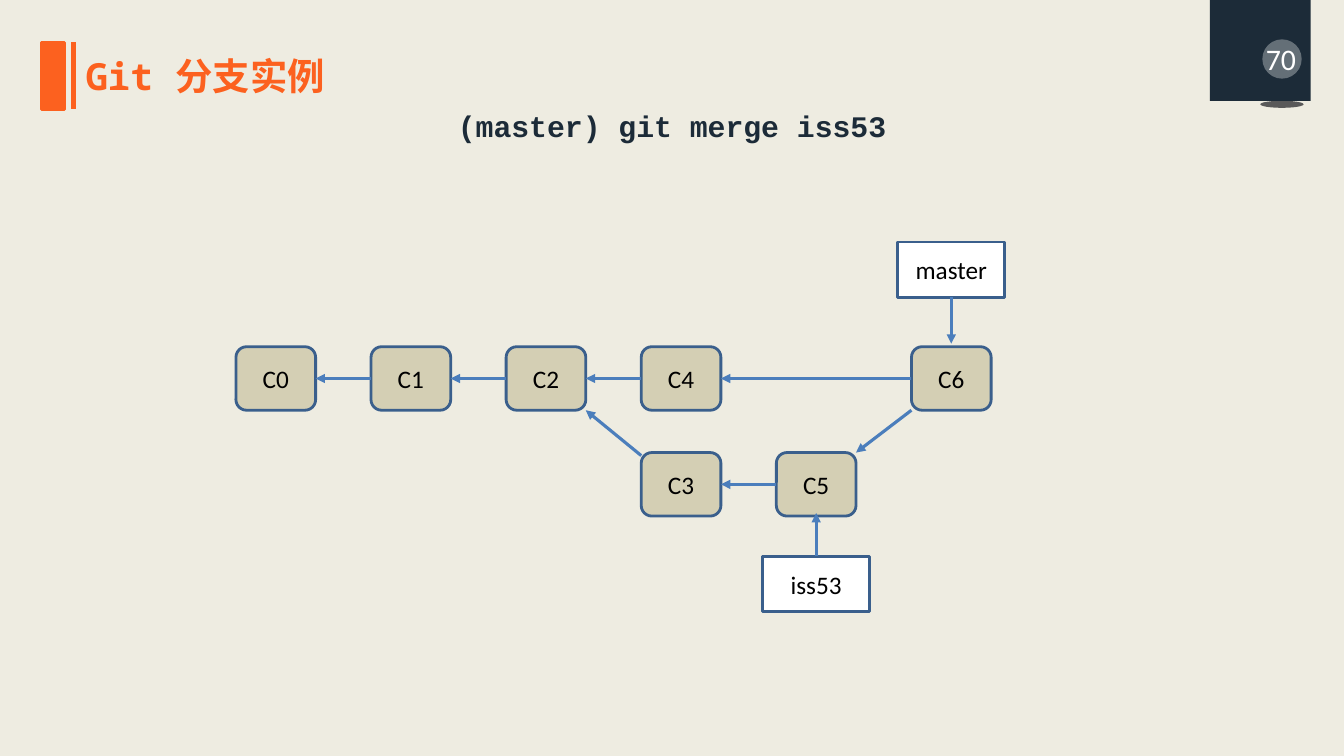
from math import cos, pi, sin

from lxml import etree
from pptx import Presentation
from pptx.dml.color import RGBColor
from pptx.enum import shapes, text
from pptx.oxml import ns
from pptx.util import Inches, Pt

TITLE = "Git 分支实例"
COMMAND = "(master) git merge iss53"
PAGE = "70"
# commit: (column, row)
COMMITS = {"C0": (0, 0), "C1": (1, 0), "C2": (2, 0), "C4": (3, 0),
           "C6": (5, 0), "C3": (3, 1), "C5": (4, 1)}
# branch: (commit, top of its label)
BRANCHES = {"master": ("C6", 2.4), "iss53": ("C5", 5.52)}
PARENTS = [("C1", "C0"), ("C2", "C1"), ("C4", "C2"), ("C3", "C2"),
           ("C5", "C3"), ("C6", "C4"), ("C6", "C5")]

LEFT, TOP, STEP, DROP = 2.34, 3.44, 1.34, 1.05
NODE_W, NODE_H = 0.79, 0.63
TAG_W, TAG_H = 1.06, 0.55
PIN_X, PIN_Y, PIN_R, PIN_TIP = 12.71, 0.57, 0.26, 1.04

CREAM = RGBColor(0xEE, 0xEC, 0xE1)
ORANGE = RGBColor(0xFC, 0x61, 0x1F)
NAVY = RGBColor(0x1C, 0x2B, 0x38)
GRAY = RGBColor(0x59, 0x59, 0x59)
TAN = RGBColor(0xD4, 0xCF, 0xB4)
EDGE = RGBColor(0x3A, 0x5F, 0x8C)
BLUE = RGBColor(0x4B, 0x7E, 0xBC)
WHITE = RGBColor(0xFF, 0xFF, 0xFF)
BLACK = RGBColor(0, 0, 0)

KIND = shapes.MSO_SHAPE
MIDDLE = text.MSO_ANCHOR.MIDDLE
CENTER = text.PP_ALIGN.CENTER

deck = Presentation()
deck.slide_width, deck.slide_height = Inches(13.33), Inches(7.5)
slide = deck.slides.add_slide(deck.slide_layouts[6])
slide.background.fill.solid()
slide.background.fill.fore_color.rgb = CREAM
tree = slide.shapes


def paint(shape, fill, line=None):
    shape.shadow.inherit = False
    shape.fill.solid()
    shape.fill.fore_color.rgb = fill
    if line is None:
        shape.line.fill.background()
    else:
        shape.line.color.rgb = line
        shape.line.width = Pt(2)


def add(kind, box, fill, line=None):
    shape = tree.add_shape(kind, *map(Inches, box))
    paint(shape, fill, line)
    return shape


def write(shape, words, size, font, color, bold=False, align=CENTER,
          anchor=MIDDLE):
    frame = shape.text_frame
    frame.word_wrap = True
    frame.vertical_anchor = anchor
    frame.text = words
    para = frame.paragraphs[0]
    para.alignment = align
    face = para.runs[0].font
    face.name, face.size, face.bold = font, Pt(size), bold
    face.color.rgb = color
    return para


def label(box, *args, **style):
    return write(tree.add_textbox(*map(Inches, box)), *args, **style)


def rule(start, end, color, width, arrow=False):
    line = tree.add_connector(shapes.MSO_CONNECTOR.STRAIGHT,
                              *map(Inches, start + end))
    line.line.color.rgb = color
    line.line.width = Pt(width)
    props = line._element.spPr
    if arrow:
        etree.SubElement(line.line._get_or_add_ln(), ns.qn("a:tailEnd"),
                         type="triangle")
    etree.SubElement(props, ns.qn("a:effectLst"))


def draw_pin():
    """Page marker: a round head narrowing to a tip above its shade."""
    add(KIND.OVAL, (12.5, 1, 0.43, 0.07), GRAY)
    head = [(PIN_X - PIN_R * cos(pi * i / 24), PIN_Y - PIN_R * sin(pi * i / 24))
            for i in range(25)]
    side = []
    for i in range(1, 13):
        t = i / 12
        side.append((PIN_R * ((1 - t) ** 2 + 1.8 * t * (1 - t)),
                     PIN_Y + (PIN_TIP - PIN_Y) * (t * (1 - t) + t * t)))
    points = head + [(PIN_X + x, y) for x, y in side]
    points += [(PIN_X - x, y) for x, y in side[-2::-1]]
    path = tree.build_freeform(*points[0], scale=Inches(1))
    path.add_line_segments(points[1:], close=True)
    paint(path.convert_to_shape(), NAVY)
    disc = add(KIND.OVAL, (12.52, 0.39, 0.39, 0.39), WHITE)
    tint = disc.fill._xPr.find(".//" + ns.qn("a:srgbClr"))
    etree.SubElement(tint, ns.qn("a:alpha"), val="32000")
    label((11.15, 0.38, 3.11, 0.4), PAGE, 21.3, "Calibri", WHITE)


def place(name):
    col, row = COMMITS[name]
    return LEFT + col * STEP, TOP + row * DROP


draw_pin()
add(KIND.RECTANGLE, (0.41, 0.42, 0.23, 0.67), ORANGE, ORANGE)
rule((0.73, 0.42), (0.73, 1.08), ORANGE, 3)
label((0.75, 0.48, 3.09, 0.55), TITLE, 26.7, "Noto Sans Mono", ORANGE,
      bold=True, align=text.PP_ALIGN.LEFT, anchor=text.MSO_ANCHOR.TOP)
label((3.92, 0.84, 5.49, 0.64), COMMAND, 21.3, "Courier New", NAVY, bold=True,
      anchor=text.MSO_ANCHOR.TOP).line_spacing = 1.5

for name in COMMITS:
    node = add(KIND.ROUNDED_RECTANGLE, (*place(name), NODE_W, NODE_H), TAN, EDGE)
    write(node, name, 18, "Calibri", BLACK)

for child, parent in PARENTS:
    (x1, y1), (x2, y2) = place(child), place(parent)
    if y1 == y2:
        y1 = y2 = y1 + NODE_H / 2
    elif y1 < y2:
        y1 += NODE_H
    else:
        y1 += 0.03
        y2 += NODE_H
    rule((x1, y1), (x2 + NODE_W, y2), BLUE, 2.25, arrow=True)

for name, (commit, top) in BRANCHES.items():
    x, y = place(commit)
    mid = x + NODE_W / 2
    tag = add(KIND.RECTANGLE, (mid - TAG_W / 2, top, TAG_W, TAG_H), WHITE, EDGE)
    write(tag, name, 18, "Calibri", BLACK)
    start, end = (top + TAG_H, y - 0.03) if top < y else (top, y + NODE_H - 0.03)
    rule((mid, start), (mid, end), BLUE, 2.25, arrow=True)

deck.save("out.pptx")
